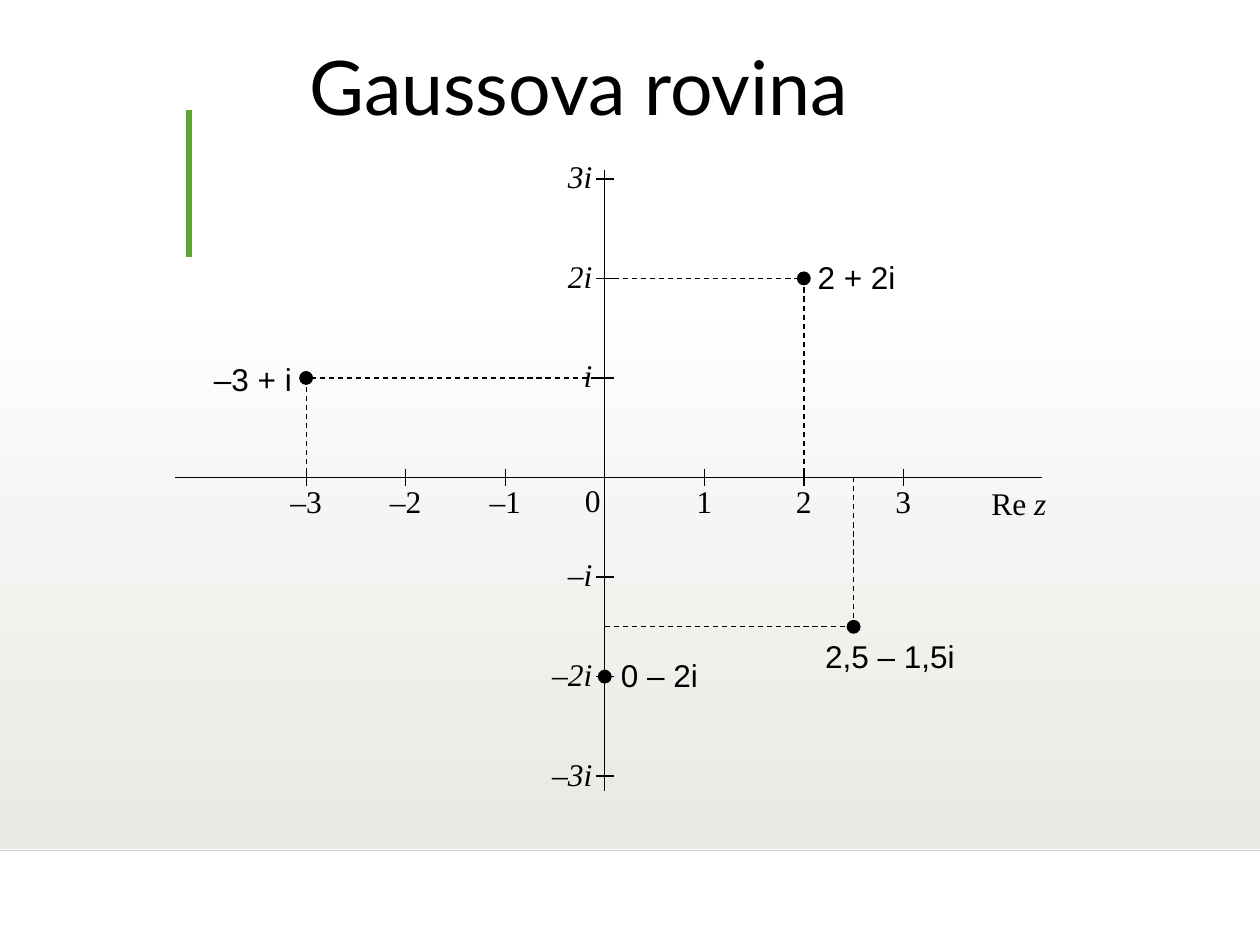
import pptx
from lxml import etree
from pptx.dml.color import RGBColor
from pptx.enum.dml import MSO_LINE
from pptx.enum.shapes import MSO_CONNECTOR, MSO_SHAPE
from pptx.enum.text import MSO_ANCHOR, MSO_AUTO_SIZE, PP_ALIGN
from pptx.oxml.ns import qn
from pptx.util import Inches, Pt

# Content
TITLE = "Gaussova rovina"
REAL_LABELS = {-3: "–3", -2: "–2", -1: "–1", 1: "1", 2: "2", 3: "3"}
IMAGINARY_LABELS = {3: "3i", 2: "2i", 1: "i", -1: "–i", -2: "–2i", -3: "–3i"}
# Real part, imaginary part, label, label left, top and width
POINTS = [
    (2, 2, "2 + 2i", 6.39, 2.0, 1.1),
    (-3, 1, "–3 + i", 1.6, 2.81, 1.1),
    (0, -2, "0 – 2i", 4.83, 5.16, 1.1),
    (2.5, -1.5, "2,5 – 1,5i", 6.45, 5.01, 1.41),
]

# Geometry of the plane, in inches
ORIGIN_X, ORIGIN_Y, UNIT = 4.8, 3.79, 0.79
TICK, DOT, LABEL_HEIGHT = 0.07, 0.1, 0.4
BLACK = "000000"
SERIF = "Times New Roman"


def color(hex_string):
    return RGBColor.from_string(hex_string)


def plane_x(real):
    return ORIGIN_X + real * UNIT


def plane_y(imaginary):
    return ORIGIN_Y - imaginary * UNIT


def add_line(x1, y1, x2, y2, line_color=BLACK, width=0.75, dashed=False):
    line = slide.shapes.add_connector(
        MSO_CONNECTOR.STRAIGHT, Inches(x1), Inches(y1), Inches(x2), Inches(y2))
    line.line.color.rgb = color(line_color)
    line.line.width = Pt(width)
    if dashed:
        line.line.dash_style = MSO_LINE.DASH
    etree.SubElement(line._element.spPr, qn("a:effectLst"))


def add_label(text, left, top, width, font=SERIF, align=PP_ALIGN.LEFT, italic=False):
    box = slide.shapes.add_textbox(
        Inches(left), Inches(top), Inches(width), Inches(LABEL_HEIGHT))
    box.text_frame.word_wrap = True
    paragraph = box.text_frame.paragraphs[0]
    paragraph.text = text
    paragraph.alignment = align
    paragraph.font.name = font
    paragraph.font.size = Pt(18)
    paragraph.font.italic = italic
    paragraph.font.color.rgb = color(BLACK)
    return paragraph


presentation = pptx.Presentation()
presentation.slide_width = Inches(10)
presentation.slide_height = Inches(7.5)
slide = presentation.slides.add_slide(presentation.slide_layouts[5])

# Background band and accent lines
band = slide.shapes.add_shape(
    MSO_SHAPE.RECTANGLE, 0, Inches(2.2), Inches(10), Inches(4.54))
band.shadow.inherit = False
band.line.fill.background()
band.fill.gradient()
band.fill.gradient_angle = 270
for stop, stop_color in zip(band.fill.gradient_stops, ("FFFFFF", "EAE8E4")):
    stop.color.rgb = color(stop_color)
add_line(0, 6.75, 10, 6.75, "CCCCCC", 1)
add_line(1.5, 0.87, 1.5, 2.04, "5FA534", 3)

# Title, raised within its frame by the bottom inset
title = slide.shapes.title
title.left, title.top = Inches(0.47), Inches(0.61)
title.width, title.height = Inches(8.25), Inches(1.18)
frame = title.text_frame
frame.auto_size = MSO_AUTO_SIZE.NONE
frame.vertical_anchor = MSO_ANCHOR.BOTTOM
frame.margin_left = frame.margin_right = frame.margin_top = 0
frame.margin_bottom = Inches(0.74)
paragraph = frame.paragraphs[0]
paragraph.text = TITLE
paragraph.alignment = PP_ALIGN.CENTER
paragraph.line_spacing = 0.9
paragraph.font.name = "Lato"
paragraph.font.size = Pt(43)
paragraph.font.color.rgb = color(BLACK)

# Axes
add_line(ORIGIN_X, 1.35, ORIGIN_X, 6.28)
add_line(1.39, ORIGIN_Y, 8.27, ORIGIN_Y)
axis_name = add_label("", 7.77, 3.79, 1.1)
axis_name.add_run().text = "Re "
variable = axis_name.add_run()
variable.text = "z"
variable.font.italic = True
add_label("0", 4.52, 3.77, 0.37, align=PP_ALIGN.CENTER)

# Ticks and their labels
for value, text in REAL_LABELS.items():
    x = plane_x(value)
    width = 0.37 if value > 0 else 0.79
    add_line(x, ORIGIN_Y - TICK, x, ORIGIN_Y + TICK)
    add_label(text, x - width / 2, 3.78, width, align=PP_ALIGN.CENTER)
for value, text in IMAGINARY_LABELS.items():
    y = plane_y(value)
    add_line(ORIGIN_X - TICK, y, ORIGIN_X + TICK, y)
    add_label(text, 4.25, y - 0.22, 0.55, align=PP_ALIGN.RIGHT, italic=True)

# Complex numbers with dashed projections onto the axes
for real, imaginary, text, left, top, width in POINTS:
    x, y = plane_x(real), plane_y(imaginary)
    if real:
        add_line(x, y, x, ORIGIN_Y, dashed=True)
        add_line(ORIGIN_X, y, x, y, dashed=True)
    dot = slide.shapes.add_shape(
        MSO_SHAPE.OVAL, Inches(x - DOT / 2), Inches(y - DOT / 2), Inches(DOT), Inches(DOT))
    dot.shadow.inherit = False
    dot.fill.solid()
    dot.fill.fore_color.rgb = color(BLACK)
    dot.line.color.rgb = color(BLACK)
    dot.line.width = Pt(0.75)
    add_label(text, left, top, width, font="Arial")

presentation.save("out.pptx")
